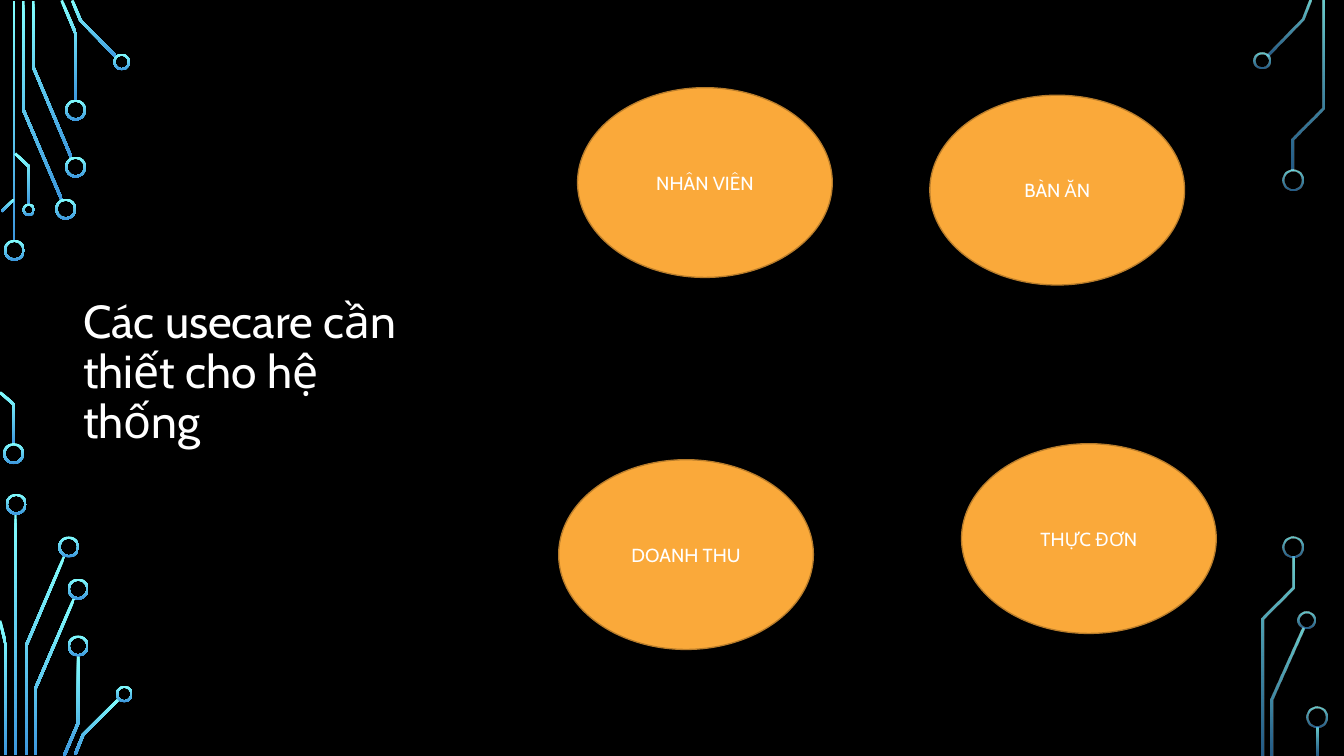
import math

import pptx
import pptx.dml.color
import pptx.enum.shapes
import pptx.enum.text
import pptx.oxml.ns
import pptx.util
from lxml import etree

Pt = pptx.util.Pt
SHAPES = pptx.enum.shapes.MSO_SHAPE
ALIGN = pptx.enum.text.PP_ALIGN
MIDDLE = pptx.enum.text.MSO_ANCHOR.MIDDLE
FONT = "Cabin"
COLORS = {
    "background": "000000",
    "text": "FFFFFF",
    "trace_top": "82FFFF",
    "trace_bottom": "3D97DE",
    "oval": "FAA93A",
    "oval_line": "B97D2B",
}
OVAL_SIZE = (242.6, 180.7)
RING_WALL = 2

# Centre lines of the traces, then (centre x, centre y, diameter) of the rings
LEFT_TRACES = [
    [(13.3, 0.7), (13.3, 229.7)],
    [(22.3, 0.7), (22.3, 104.8), (58.7, 190)],
    [(31.7, 0.7), (31.7, 64.1), (68, 150.1)],
    [(58.7, 0.4), (72, 31.7), (72, 95.8)],
    [(68.8, 0.4), (76.7, 19.4), (110.9, 54.4)],
    [(1.4, 201.6), (13, 190.1)],
    [(0, 373.7), (13.3, 385.2), (13.3, 423.4)],
    [(14.4, 146.2), (27.7, 158.8), (27.7, 195.1)],
    [(14.8, 489.6), (14.8, 718.6)],
    [(24.8, 718.6), (24.8, 615.2), (61.2, 529.9)],
    [(5.8, 718.6), (5.8, 615.2), (0, 591.1)],
    [(33.8, 719.3), (33.8, 655.6), (70.6, 569.9)],
    [(61.2, 719.6), (74.5, 688.3), (74.5, 624.2)],
    [(71.6, 718.6), (79.2, 699.8), (113.4, 665.6)],
]
LEFT_RINGS = [
    (13.7, 238.3, 20), (13, 432, 20), (62.6, 199.1, 20), (72, 159.1, 20),
    (72, 104.8, 20), (115.9, 59, 16), (27.4, 199.8, 12), (15.5, 480.2, 20),
    (65.5, 520.9, 20), (74.5, 561, 20), (74.5, 615.2, 20), (118.4, 661, 16),
]
RIGHT_TRACES = [
    [(7, 53.3), (40.9, 18.7), (48.1, 0.4)],
    [(11.8, 719.3), (11.8, 666), (41, 598.3)],
    [(31.6, 162.7), (31.6, 132.8), (60, 103.3), (60, 0.7)],
    [(2.4, 719.3), (2.4, 589.3), (31.9, 559.8), (31.9, 529.9)],
    [(54.6, 692.6), (54.6, 719.3)],
]
RIGHT_RINGS = [
    (1.7, 57.6, 16), (31.2, 171.4, 20), (44.2, 590.8, 16.5),
    (31.9, 520.9, 20), (54.2, 683.3, 20),
]
USE_CASES = [
    ("THỰC ĐƠN", 915.8, 422.6),
    ("BÀN ĂN", 885.6, 90.7),
    ("NHÂN VIÊN", 550.1, 83.5),
    ("DOANH THU", 532.1, 437.8),
]


def color(name):
    return pptx.dml.color.RGBColor.from_string(COLORS[name])


def write(box, text, size, align):
    """Put one run of text in the box and return its paragraph."""
    frame = box.text_frame
    frame.word_wrap = True
    frame.vertical_anchor = MIDDLE
    para = frame.paragraphs[0]
    para.alignment = align
    span = para.add_run()
    span.text = text
    span.font.name = FONT
    span.font.size = Pt(size)
    span.font.color.rgb = color("text")
    return para


def paint_trace(shape, alphas):
    """Fill from top to bottom, with an opacity in percent at each end."""
    shape.shadow.inherit = False
    shape.line.fill.background()
    shape.fill.gradient()
    shape.fill.gradient_angle = 270
    stops = shape.fill.gradient_stops
    for stop, name in zip(stops, ("trace_top", "trace_bottom")):
        stop.color.rgb = color(name)
    tag = pptx.oxml.ns.qn("a:srgbClr")
    for node, alpha in zip(shape._element.spPr.iter(tag), alphas):
        etree.SubElement(node, pptx.oxml.ns.qn("a:alpha"), val=str(alpha * 1000))


def thicken(points, width):
    """Return the outline of a centre line, with mitred corners."""
    normals = []
    for (x1, y1), (x2, y2) in zip(points, points[1:]):
        length = math.hypot(x2 - x1, y2 - y1)
        normals.append(((y1 - y2) / length, (x2 - x1) / length))
    before, after = normals[:1] + normals, normals + normals[-1:]
    near, far = [], []
    for (x, y), (ax, ay), (bx, by) in zip(points, before, after):
        reach = width / 2 / (1 + ax * bx + ay * by)
        dx, dy = (ax + bx) * reach, (ay + by) * reach
        near.append((x + dx, y + dy))
        far.append((x - dx, y - dy))
    return near + far[::-1]


def add_circuit(page, left, top, traces, rings, alphas):
    for points in traces:
        # Single straight traces are slightly thinner
        outline = thicken(points, 2 if len(points) == 2 else 2.6)
        corners = [(Pt(left + x), Pt(top + y)) for x, y in outline]
        builder = page.shapes.build_freeform(*corners[0], scale=1.0)
        builder.add_line_segments(corners[1:], close=True)
        paint_trace(builder.convert_to_shape(), alphas)
    for x, y, size in rings:
        ring = page.shapes.add_shape(
            SHAPES.DONUT, Pt(left + x - size / 2), Pt(top + y - size / 2),
            Pt(size), Pt(size))
        ring.adjustments[0] = RING_WALL / size
        paint_trace(ring, alphas)


def add_title(page, left, top, width, height):
    box = page.shapes.add_textbox(Pt(left), Pt(top), Pt(width), Pt(height))
    para = write(box, "Các usecare cần thiết cho hệ thống", 44, ALIGN.LEFT)
    para.line_spacing = 0.9
    para.space_after = Pt(6)


def add_use_case(page, text, left, top, width, height):
    oval = page.shapes.add_shape(
        SHAPES.OVAL, Pt(left), Pt(top), Pt(width), Pt(height))
    oval.shadow.inherit = False
    oval.fill.solid()
    oval.fill.fore_color.rgb = color("oval")
    oval.line.color.rgb = color("oval_line")
    oval.line.width = Pt(1.25)
    write(oval, text, 18, ALIGN.CENTER)


def main():
    deck = pptx.Presentation()
    deck.slide_width, deck.slide_height = Pt(1280), Pt(720)
    page = deck.slides.add_slide(deck.slide_layouts[6])
    page.background.fill.solid()
    page.background.fill.fore_color.rgb = color("background")

    # Circuit ornaments, the right one fainter
    add_circuit(page, 0, 0, LEFT_TRACES, LEFT_RINGS, (100, 100))
    add_circuit(page, 1200, 0, RIGHT_TRACES, RIGHT_RINGS, (80, 60))

    # Title and use cases
    add_title(page, 72, 121, 336.2, 468.7)
    for text, left, top in USE_CASES:
        add_use_case(page, text, left, top, *OVAL_SIZE)

    deck.save("out.pptx")


if __name__ == "__main__":
    main()
